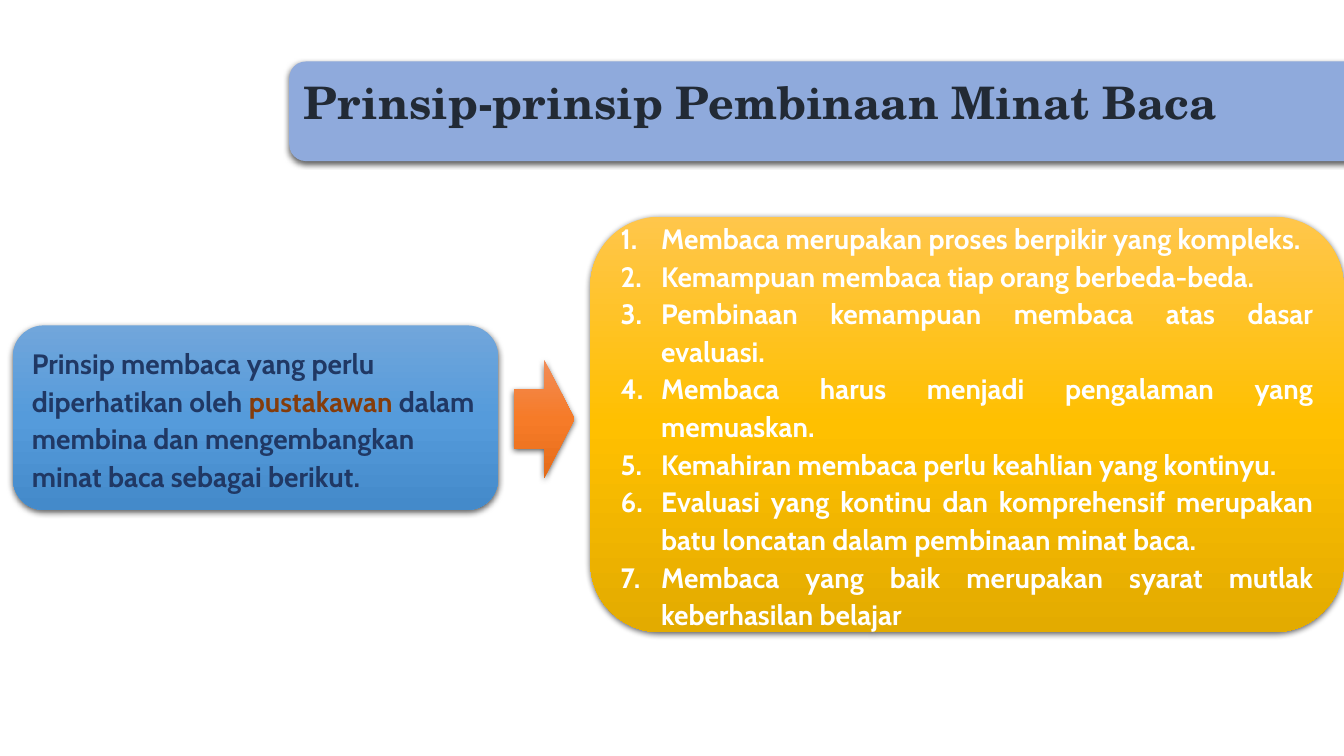
"""Build a slide on the principles of fostering an interest in reading."""
from copy import deepcopy
from pptx import Presentation
from pptx import util as u
from pptx.dml.color import RGBColor
from pptx.enum import shapes, text
from pptx.oxml import ns, parse_xml

HUES = {
    "banner": ["8FAADC"],
    "blue": ["71A6DB", "559BDB", "448ACA"],
    "orange": ["F18C57", "F67B28", "E56C19"],
    "gold": ["FFC64B", "FFC000", "E3AB00"],
    "title": "222A35",
    "navy": "203864",
    "brown": "843C0B",
    "white": "FFFFFF",
}
SHADOW = (
    f'<a:outerShdw {ns.nsdecls("a")} blurRad="57150" dist="19050" dir="5400000" '
    'algn="ctr" rotWithShape="0"><a:srgbClr val="000000"><a:alpha val="63000"/>'
    "</a:srgbClr></a:outerShdw>"
)
ITEMS = [
    "Membaca merupakan proses berpikir yang kompleks.",
    "Kemampuan membaca tiap orang berbeda-beda.",
    "Pembinaan kemampuan membaca atas dasar evaluasi.",
    "Membaca harus menjadi pengalaman yang memuaskan.",
    "Kemahiran membaca perlu keahlian yang kontinyu.",
    "Evaluasi yang kontinu dan komprehensif merupakan batu loncatan dalam pembinaan minat baca.",
    "Membaca yang baik merupakan syarat mutlak keberhasilan belajar",
]


def add_block(kind, left, top, width, height, hues):
    block = slide.shapes.add_shape(kind, *map(u.Cm, (left, top, width, height)))
    block.line.fill.background()
    if len(hues) == 1:
        block.fill.solid()
        block.fill.fore_color.rgb = RGBColor.from_string(hues[0])
    else:
        block.fill.gradient()
        block.fill.gradient_angle = 270
        first = block._element.spPr.find(".//" + ns.qn("a:gs"))
        first.addnext(deepcopy(first))
        for stop, hue, place in zip(block.fill.gradient_stops, hues, (0, 0.5, 1)):
            stop.color.rgb = RGBColor.from_string(hue)
            stop.position = place
    block.shadow.inherit = False
    block._element.spPr.find(ns.qn("a:effectLst")).append(parse_xml(SHADOW))
    block.text_frame.word_wrap = True
    block.text_frame.vertical_anchor = text.MSO_ANCHOR.MIDDLE
    return block


def style(run, size, face, hue):
    run.font.size = u.Pt(size)
    run.font.name = face
    run.font.bold = True
    run.font.color.rgb = RGBColor.from_string(HUES[hue])


deck = Presentation()
deck.slide_width, deck.slide_height = u.Cm(33.87), u.Cm(19.05)
slide = deck.slides.add_slide(deck.slide_layouts[6])
round_box = shapes.MSO_SHAPE.ROUNDED_RECTANGLE

banner = add_block(round_box, 7.29, 1.55, 27.58, 2.51, HUES["banner"])
banner.text_frame.vertical_anchor = text.MSO_ANCHOR.TOP
title = banner.text_frame.paragraphs[0]
title.text = "Prinsip-prinsip Pembinaan Minat Baca"
title.alignment = text.PP_ALIGN.LEFT
title.line_spacing = 1.07
style(title.runs[0], 32, "TeX Gyre Schola", "title")

intro = add_block(round_box, 0.33, 8.2, 12.22, 4.65, HUES["blue"])
lead = intro.text_frame.paragraphs[0]
lead.alignment = text.PP_ALIGN.LEFT
lead.line_spacing = 1.12
for words, hue in (
    ("Prinsip membaca yang perlu diperhatikan oleh ", "navy"),
    ("pustakawan ", "brown"),
    ("dalam membina dan mengembangkan minat baca sebagai berikut.", "navy"),
):
    run = lead.add_run()
    run.text = words
    style(run, 20, "Cabin", hue)

add_block(shapes.MSO_SHAPE.RIGHT_ARROW, 12.95, 9.07, 1.53, 2.97, HUES["orange"])

panel = add_block(round_box, 14.88, 5.46, 18.98, 10.47, HUES["gold"])
panel.text_frame.text = "\n".join(ITEMS)
for item in panel.text_frame.paragraphs:
    item.level = 1
    item.alignment = text.PP_ALIGN.JUSTIFY
    item.line_spacing = 1.12
    props = item._p.get_or_add_pPr()
    props.set("marL", str(u.Cm(1.02)))
    props.set("indent", str(-u.Cm(1.02)))
    props.append(parse_xml(f'<a:buFont {ns.nsdecls("a")} typeface="+mj-lt"/>'))
    props.append(parse_xml(f'<a:buAutoNum {ns.nsdecls("a")} type="arabicPeriod"/>'))
    style(item.runs[0], 20, "Cabin", "white")

deck.save("out.pptx")
